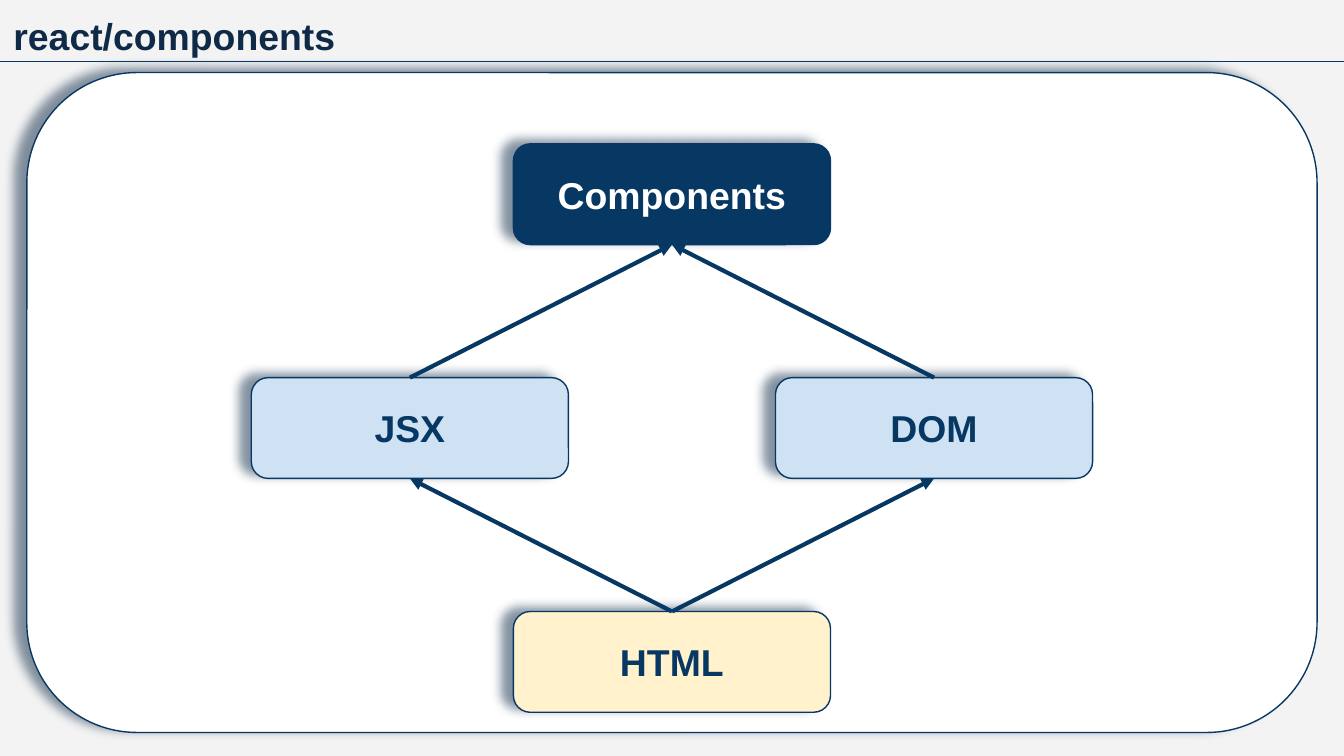
import pptx
import pptx.util
import pptx.dml.color
import pptx.enum.shapes
import pptx.enum.text
import pptx.oxml
import pptx.oxml.ns
from lxml import etree

TITLE = "react/components"
BOXES = {
    "Components": {"column": 1, "row": 0, "fill": "navy", "text": "white"},
    "JSX": {"column": 0, "row": 1, "fill": "blue", "text": "navy"},
    "DOM": {"column": 2, "row": 1, "fill": "blue", "text": "navy"},
    "HTML": {"column": 1, "row": 2, "fill": "cream", "text": "navy"},
}
ARROWS = [("JSX", "Components"), ("DOM", "Components"), ("HTML", "JSX"), ("HTML", "DOM")]

THEME = {
    "font": "Arial", "size": 20, "thin": 0.75, "thick": 2.25, "corner": 0.167,
    "background": "F3F3F3", "ink": "0E2A47", "navy": "073763",
    "blue": "CFE2F3", "cream": "FFF2CC", "white": "FFFFFF",
}
SHADOW = {"blur": 5.6, "distance": 6.8, "angle": 199, "opacity": 51}

WIDTH = 10
HEIGHT = WIDTH * 9 / 16
RULE_TOP = 0.46
PANEL = (0.2, 0.54, 9.6, 4.91)
BOX_WIDTH, BOX_HEIGHT = 2.36, 0.75
COLUMN_STEP, ROW_STEP = 1.95, 1.74
GRID_LEFT = WIDTH / 2 - COLUMN_STEP - BOX_WIDTH / 2
GRID_TOP = 1.07

inches = pptx.util.Inches
points = pptx.util.Pt


def color(name):
    return pptx.dml.color.RGBColor.from_string(THEME[name])


def write(shape, text, color_name, alignment, anchor):
    text_frame = shape.text_frame
    text_frame.text = text
    text_frame.word_wrap = True
    text_frame.auto_size = pptx.enum.text.MSO_AUTO_SIZE.NONE
    text_frame.vertical_anchor = anchor
    text_frame.margin_left = text_frame.margin_right = inches(0.1)
    text_frame.margin_top = text_frame.margin_bottom = inches(0.1)
    paragraph = text_frame.paragraphs[0]
    paragraph.alignment = alignment
    font = paragraph.runs[0].font
    font.name, font.size, font.bold = THEME["font"], points(THEME["size"]), True
    font.color.rgb = color(color_name)


def add_shadow(shape):
    shape.shadow.inherit = False
    effects = shape._element.spPr.find(pptx.oxml.ns.qn("a:effectLst"))
    effects.append(pptx.oxml.parse_xml(
        f'<a:outerShdw {pptx.oxml.ns.nsdecls("a")} blurRad="{points(SHADOW["blur"])}" '
        f'dist="{points(SHADOW["distance"])}" dir="{SHADOW["angle"] * 60000}" '
        f'algn="bl" rotWithShape="0"><a:srgbClr val="{THEME["ink"]}">'
        f'<a:alpha val="{SHADOW["opacity"] * 1000}"/></a:srgbClr></a:outerShdw>'))


def add_card(slide, left, top, width, height, fill):
    card = slide.shapes.add_shape(
        pptx.enum.shapes.MSO_SHAPE.ROUNDED_RECTANGLE,
        inches(left), inches(top), inches(width), inches(height))
    card.adjustments[0] = THEME["corner"]
    card.fill.solid()
    card.fill.fore_color.rgb = color(fill)
    card.line.color.rgb = color("navy")
    card.line.width = points(THEME["thin"])
    add_shadow(card)
    return card


def add_line(slide, start, end, weight):
    connector = slide.shapes.add_connector(
        pptx.enum.shapes.MSO_CONNECTOR.STRAIGHT, *map(inches, start + end))
    connector.line.color.rgb = color("navy")
    connector.line.width = points(THEME[weight])
    etree.SubElement(connector._element.spPr, pptx.oxml.ns.qn("a:effectLst"))
    return connector


def add_box(slide, name, box):
    left = GRID_LEFT + box["column"] * COLUMN_STEP
    top = GRID_TOP + box["row"] * ROW_STEP
    shape = add_card(slide, left, top, BOX_WIDTH, BOX_HEIGHT, box["fill"])
    write(shape, name, box["text"], pptx.enum.text.PP_ALIGN.CENTER,
          pptx.enum.text.MSO_ANCHOR.MIDDLE)
    return shape


def add_arrow(slide, source, target):
    connector = add_line(slide, (0, 0), (0, 0), "thick")
    connector.begin_connect(source, 0)
    connector.end_connect(target, 2)
    etree.SubElement(connector.line._get_or_add_ln(),
                     pptx.oxml.ns.qn("a:tailEnd"), type="triangle")


def main():
    presentation = pptx.Presentation()
    presentation.slide_width, presentation.slide_height = inches(WIDTH), inches(HEIGHT)
    slide = presentation.slides.add_slide(presentation.slide_layouts[5])
    slide.background.fill.solid()
    slide.background.fill.fore_color.rgb = color("background")

    title = slide.shapes.title
    title.left, title.top, title.width, title.height = map(inches, (0, 0, WIDTH, 0.5))
    write(title, TITLE, "ink", pptx.enum.text.PP_ALIGN.LEFT, pptx.enum.text.MSO_ANCHOR.TOP)

    add_card(slide, *PANEL, "white")
    add_line(slide, (0, RULE_TOP), (WIDTH, RULE_TOP), "thin")
    shapes = {name: add_box(slide, name, box) for name, box in BOXES.items()}
    for source, target in ARROWS:
        add_arrow(slide, shapes[source], shapes[target])

    presentation.save("out.pptx")


if __name__ == "__main__":
    main()
